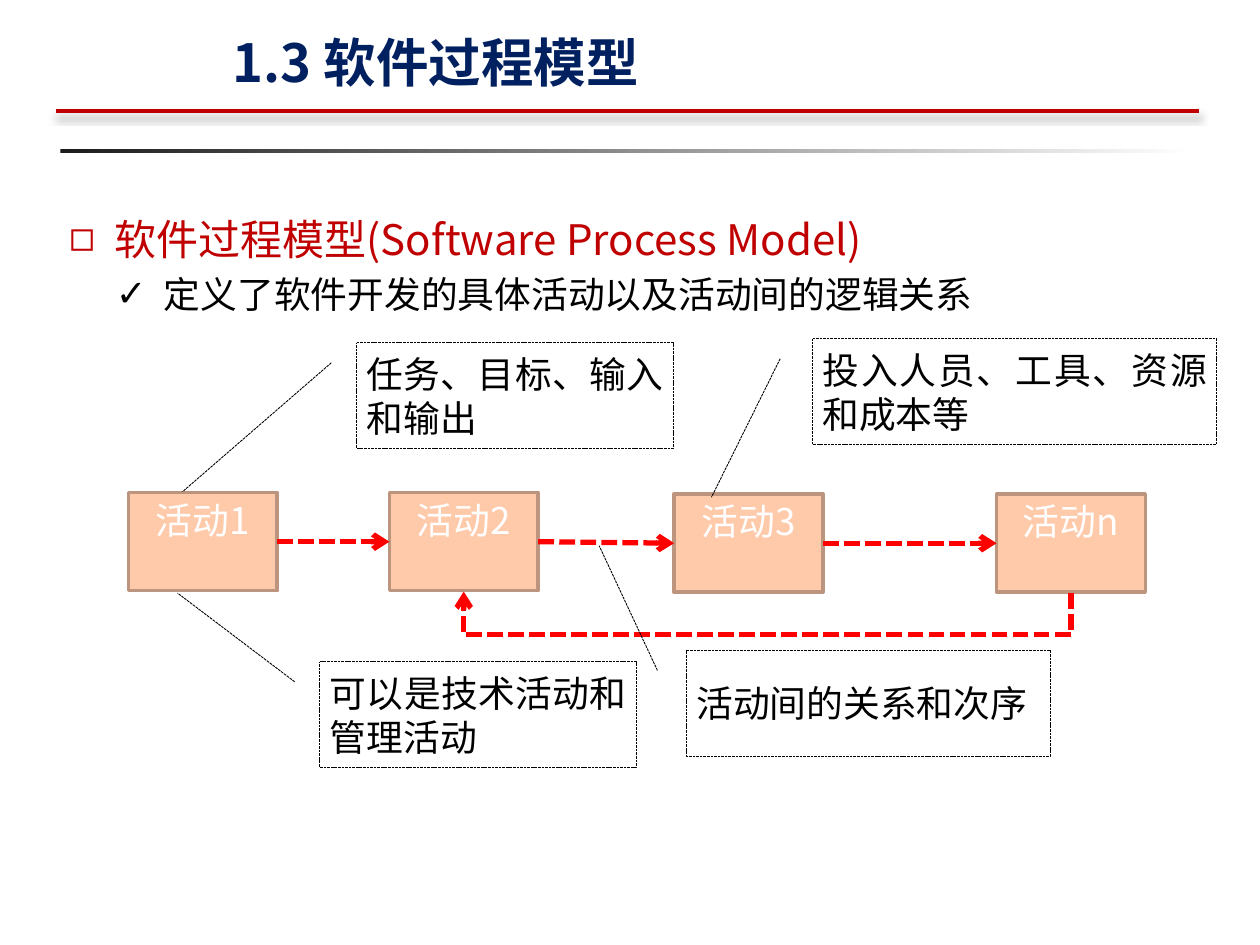
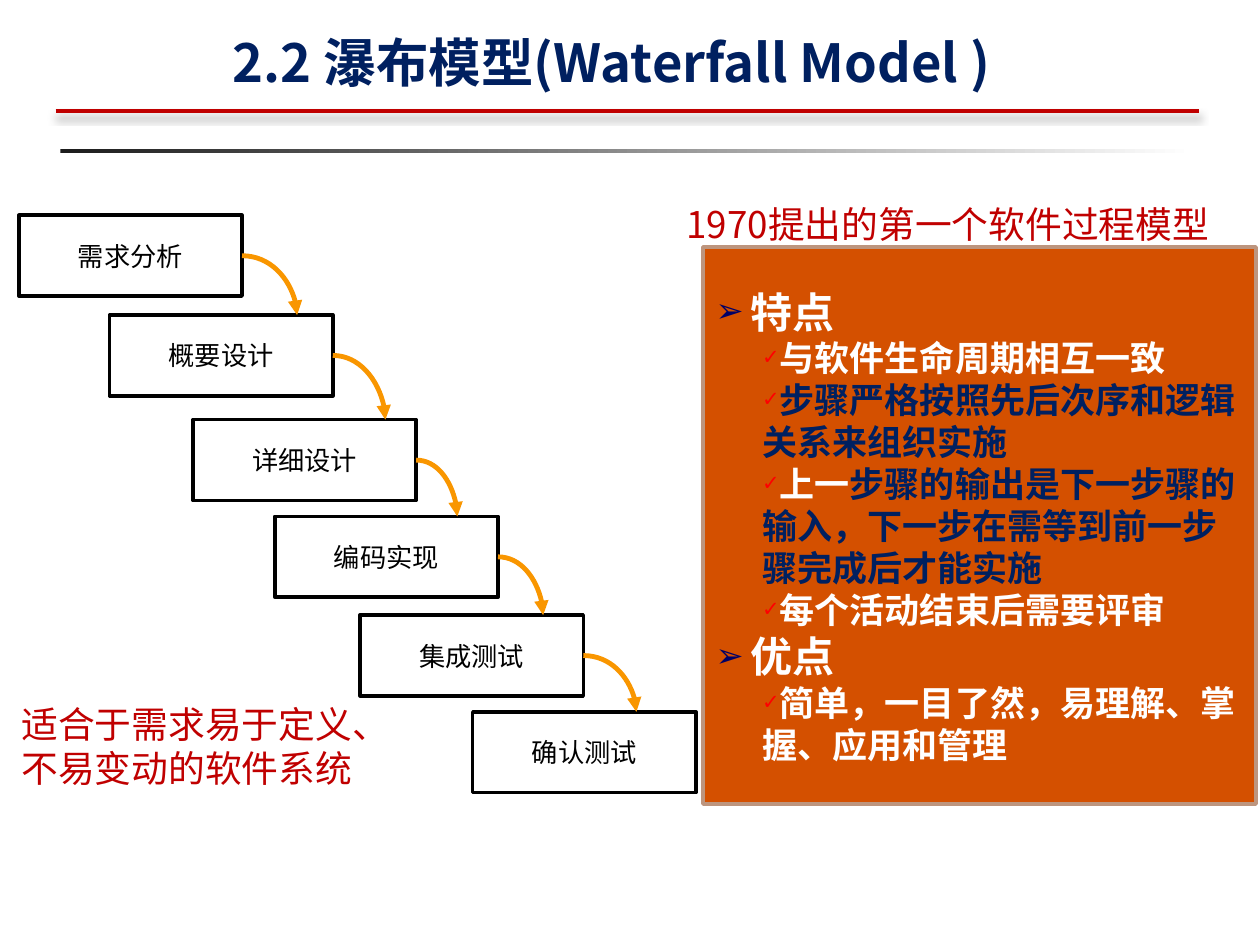
from itertools import pairwise
from lxml.etree import SubElement
from pptx import Presentation
from pptx.dml.color import RGBColor
from pptx.enum.dml import MSO_LINE
from pptx.enum.shapes import MSO_CONNECTOR, MSO_SHAPE
from pptx.enum.text import MSO_ANCHOR, MSO_AUTO_SIZE, PP_ALIGN
from pptx.oxml.ns import qn
from pptx.util import Cm, Pt

# Lengths are in centimetres, text sizes and line widths in points.
SANS, SERIF, HEAD = "Noto Sans CJK SC", "Times New Roman", "Cabin"
NAVY, CRIMSON, RED, WHITE, BLACK = "002060", "C00000", "FF0000", "FFFFFF", "000000"
PEACH, TAN, ORANGE, AMBER = "FFCAAA", "BD957E", "D45000", "F99600"

PROCESS_TITLE = "1.3 软件过程模型"
PROCESS_LIST = [
    # text, size, colour, bullet, indent, hanging, space before
    ("软件过程模型(Software Process Model)", 24, CRIMSON, "◻", 0.92, 0.92, 0),
    ("定义了软件开发的具体活动以及活动间的逻辑关系", 21, BLACK, "✓", 1.91, 0.97, 4.5),
]
ACTIVITY_SIZE = (3, 1.98)
ACTIVITIES = [("活动1", 2.59, 9.93), ("活动2", 7.85, 9.93),
              ("活动3", 13.59, 9.96), ("活动n", 20.09, 9.96)]
RETURN_DROP = 0.84
CALLOUT_HEIGHT = 2.13
CALLOUTS = [
    # text, left, top, width, leader end (down, across) as shares of the box
    ("任务、目标、输入和输出", 7.19, 6.91, 6.38, (1.41, -0.55)),
    ("活动间的关系和次序", 13.84, 13.11, 7.34, (-0.99, -0.24)),
    ("投入人员、工具、资源和成本等", 16.38, 6.83, 8.15, (1.5, -0.25)),
    ("可以是技术活动和管理活动", 6.45, 13.34, 6.38, (-0.65, -0.45)),
]

WATERFALL_TITLE = "2.2 瀑布模型(Waterfall Model )"
STEP_SIZE = (4.5, 1.63)
STEPS = [
    # text, left, top, where the arrow from the step before lands
    ("需求分析", 0.38, 4.34, None),
    ("概要设计", 2.21, 6.35, 5.99),
    ("详细设计", 3.89, 8.46, 7.77),
    ("编码实现", 5.54, 10.41, 9.22),
    ("集成测试", 7.26, 12.4, 10.95),
    ("确认测试", 9.53, 14.35, 12.83),
]
NOTES = [
    ("适合于需求易于定义、不易变动的软件系统", (0.18, 14.02, 8.23, 2.06)),
    ("1970提出的第一个软件过程模型", (13.59, 3.94, 11.7, 1.14)),
]
TRAITS = [
    ("特点", [
        [("与软件生命周期相互一致", WHITE)],
        [("步骤严格按照先后次序和逻辑关系来组织实施", NAVY)],
        [("上一", WHITE),
         ("步骤的输出是下一步骤的输入，下一步在需等到前一步骤完成后才能实施", NAVY)],
        [("每个活动结束后需要评审", WHITE)],
    ]),
    ("优点", [[("简单，一目了然，易理解、掌握、应用和管理", WHITE)]]),
]


def paint(text):
    return RGBColor.from_string(text)


def place(shape, left, top, width, height):
    shape.left, shape.top = Cm(left), Cm(top)
    shape.width, shape.height = Cm(width), Cm(height)


def style(par, size, color, font=SANS, bold=False, align=PP_ALIGN.LEFT):
    par.alignment = align
    par.line_spacing = Pt(size * 1.2)
    par.space_before = Pt(0)
    for run in par.runs:
        run.font.size, run.font.bold = Pt(size), bold
        run.font.color.rgb = paint(color)
        run.font.name = font
        SubElement(run._r.get_or_add_rPr(), qn("a:ea"), typeface=SANS)


def bullet(par, mark, indent, hang, color=None, scale=100):
    props = par._p.get_or_add_pPr()
    props.set("marL", str(Cm(indent)))
    props.set("indent", str(-Cm(hang)))
    if color:
        SubElement(SubElement(props, qn("a:buClr")), qn("a:srgbClr"), val=color)
    SubElement(props, qn("a:buSzPct"), val=str(scale * 1000))
    SubElement(props, qn("a:buChar"), char=mark)


def outline(shape, color, width, dash=None):
    shape.line.color.rgb = paint(color)
    shape.line.width = Pt(width)
    if dash:
        shape.line.dash_style = dash


def add_box(slide, kind, spot, fill=None):
    box = slide.shapes.add_shape(kind, *map(Cm, spot))
    box.shadow.inherit = False
    if fill:
        box.fill.solid()
        box.fill.fore_color.rgb = paint(fill)
    else:
        box.fill.background()
    return box


def write(box, text, size, color, anchor=MSO_ANCHOR.MIDDLE, inset=None, **look):
    frame = box.text_frame
    frame.word_wrap = True
    frame.auto_size = MSO_AUTO_SIZE.NONE
    frame.vertical_anchor = anchor
    if inset:
        frame.margin_left = frame.margin_right = Cm(inset[0])
        frame.margin_top = frame.margin_bottom = Cm(inset[1])
    frame.text = text
    style(frame.paragraphs[0], size, color, **look)


def add_line(slide, kind, ends, color, width, head=None, dash=None):
    """Draw a connector without shadow; return it with its effect list."""
    line = slide.shapes.add_connector(kind, *map(Cm, ends))
    outline(line, color, width, dash)
    props = line.element.spPr
    if head:
        SubElement(props.find(qn("a:ln")), qn("a:tailEnd"), type=head)
    return line, SubElement(props, qn("a:effectLst"))


def add_slide(deck, title):
    """Add a slide with the shared title and the two rules under it."""
    slide = deck.slides.add_slide(deck.slide_layouts[1])
    bar = add_box(slide, MSO_SHAPE.RECTANGLE, (1.22, 3, 22.86, 0.08))
    bar.line.fill.background()
    bar.fill.gradient()
    bar.fill.gradient_angle = 0
    for stop, color in zip(bar.fill.gradient_stops, ("1C1C1C", WHITE)):
        stop.color.rgb = paint(color)

    _, effects = add_line(slide, MSO_CONNECTOR.STRAIGHT,
                          (1.12, 2.24, 24.18, 2.24), CRIMSON, 2.25)
    shade = SubElement(effects, qn("a:outerShdw"), blurRad=str(Pt(4)),
                       dist=str(Pt(3)), dir="5400000", rotWithShape="0")
    tint = SubElement(shade, qn("a:srgbClr"), val=BLACK)
    SubElement(tint, qn("a:alpha"), val="40000")

    place(slide.shapes.title, 4.44, 0.46, 19.43, 1.55)
    write(slide.shapes.title, title, 30, NAVY, MSO_ANCHOR.BOTTOM, bold=True)
    return slide


def open_body(slide, anchor, *spot):
    body = slide.placeholders[1]
    place(body, *spot)
    body.text_frame.auto_size = MSO_AUTO_SIZE.NONE
    body.text_frame.vertical_anchor = anchor
    return body


def next_par(frame):
    """Give the empty first paragraph, or else a new one."""
    first = frame.paragraphs[0]
    return frame.add_paragraph() if first.runs else first


def add_return(slide, start, end):
    """Run an elbow arrow below the row, from one box's foot to another's."""
    right, left = (box.left + box.width // 2 for box in (start, end))
    foot = start.top + start.height
    span, thick = right - left, Cm(0.03)
    line, _ = add_line(slide, MSO_CONNECTOR.ELBOW, (0, 0, 1, 1), RED, 3,
                       "arrow", MSO_LINE.SQUARE_DOT)
    line.left, line.top = (left + right - thick) // 2, foot - span // 2
    line.width, line.height = thick, span
    props = line.element.spPr
    turn = props.find(qn("a:xfrm"))
    turn.set("rot", "5400000")
    turn.set("flipH", "1")
    bend = round(-RETURN_DROP / 0.03 * 100000)
    SubElement(props.find(qn("a:prstGeom")).find(qn("a:avLst")), qn("a:gd"),
               name="adj1", fmla=f"val {bend}")


def build_process(deck):
    slide = add_slide(deck, PROCESS_TITLE)
    frame = open_body(slide, MSO_ANCHOR.TOP, 1.14, 4.17, 23.39, 2.36).text_frame
    for level, (text, size, color, mark, indent, hang, gap) in enumerate(PROCESS_LIST):
        par = next_par(frame)
        par.text, par.level = text, level
        style(par, size, color)
        par.space_before = Pt(gap)
        bullet(par, mark, indent, hang)

    boxes = []
    for text, left, top in ACTIVITIES:
        box = add_box(slide, MSO_SHAPE.RECTANGLE, (left, top, *ACTIVITY_SIZE), PEACH)
        outline(box, TAN, 2)
        write(box, text, 21, WHITE, MSO_ANCHOR.TOP, (0.2, 0.1), align=PP_ALIGN.CENTER)
        boxes.append(box)
    for start, end in pairwise(boxes):
        line, _ = add_line(slide, MSO_CONNECTOR.STRAIGHT, (0, 0, 1, 1), RED, 3,
                           "arrow", MSO_LINE.SQUARE_DOT)
        line.begin_connect(start, 3)
        line.end_connect(end, 1)
    add_return(slide, boxes[-1], boxes[1])

    for text, left, top, width, tip in CALLOUTS:
        box = add_box(slide, MSO_SHAPE.LINE_CALLOUT_1, (left, top, width, CALLOUT_HEIGHT))
        for index, value in enumerate((0.19, -0.08, *tip)):
            box.adjustments[index] = value
        outline(box, BLACK, 0.5, MSO_LINE.SQUARE_DOT)
        write(box, text, 21, BLACK, inset=(0.2, 0.1), align=PP_ALIGN.JUSTIFY)


def build_waterfall(deck):
    slide = add_slide(deck, WATERFALL_TITLE)
    width, height = STEP_SIZE
    for text, left, top, _ in STEPS:
        box = add_box(slide, MSO_SHAPE.RECTANGLE, (left, top, width, height), WHITE)
        outline(box, BLACK, 2)
        write(box, text, 15, BLACK, font=SERIF, align=PP_ALIGN.CENTER)
    for (_, left, top, _), (_, _, below, land) in pairwise(STEPS):
        ends = (left + width, top + height / 2, land, below)
        line, _ = add_line(slide, MSO_CONNECTOR.CURVE, ends, AMBER, 2.75, "triangle")
        line.element.spPr.find(qn("a:prstGeom")).set("prst", "curvedConnector2")

    panel = open_body(slide, MSO_ANCHOR.MIDDLE, 14.17, 4.98, 11.15, 11.23)
    panel.fill.solid()
    panel.fill.fore_color.rgb = paint(ORANGE)
    outline(panel, TAN, 2)
    for head, points in TRAITS:
        par = next_par(panel.text_frame)
        par.text = head
        style(par, 24, WHITE, HEAD, True, PP_ALIGN.JUSTIFY)
        bullet(par, "➢", 0.71, 0.71, "000066", 80)
        for parts in points:
            par = panel.text_frame.add_paragraph()
            par.level = 1
            for text, _ in parts:
                par.add_run().text = text
            style(par, 20, WHITE, SERIF, True)
            for run, (_, color) in zip(par.runs, parts):
                run.font.color.rgb = paint(color)
            bullet(par, "✓", 0.94, 0, RED, 60)

    for text, spot in NOTES:
        note = slide.shapes.add_textbox(*map(Cm, spot))
        write(note, text, 21, CRIMSON, MSO_ANCHOR.TOP)


def main():
    deck = Presentation()
    deck.slide_width, deck.slide_height = Cm(25.4), Cm(19.05)
    build_process(deck)
    build_waterfall(deck)
    deck.save("out.pptx")


if __name__ == "__main__":
    main()
